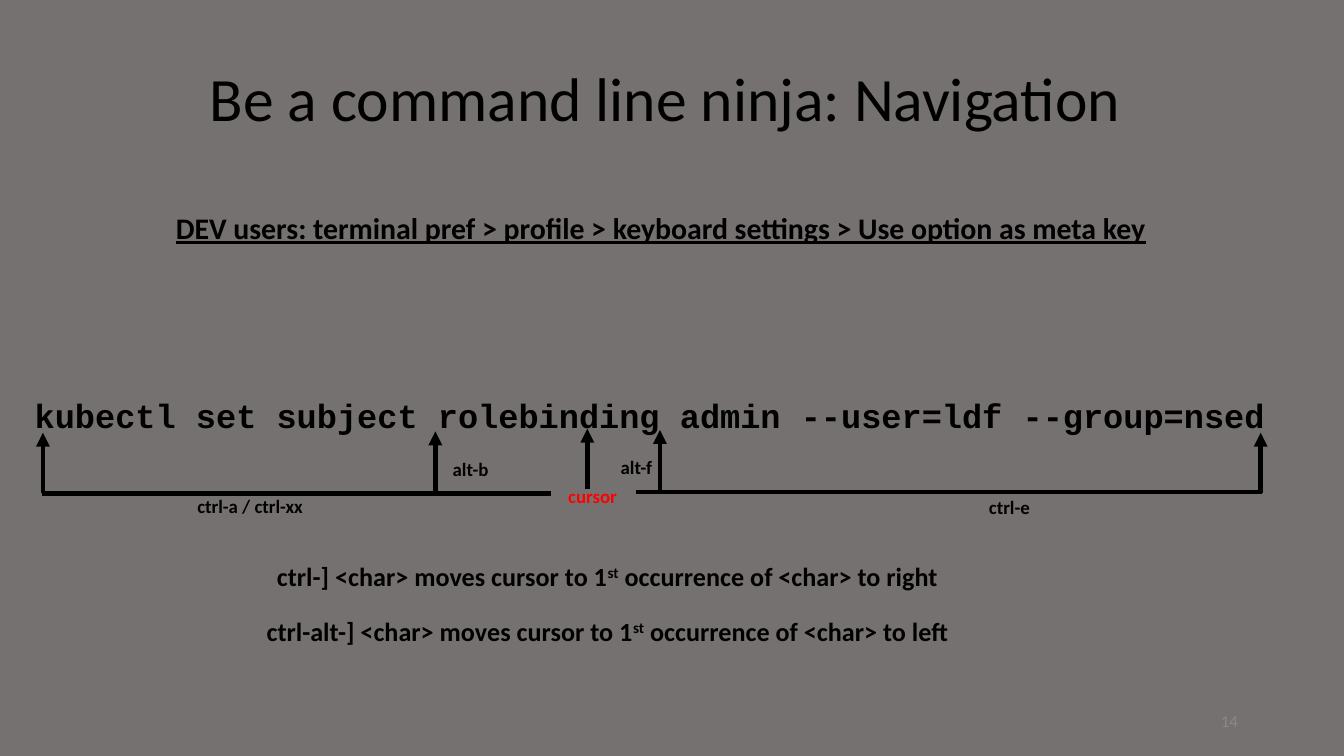
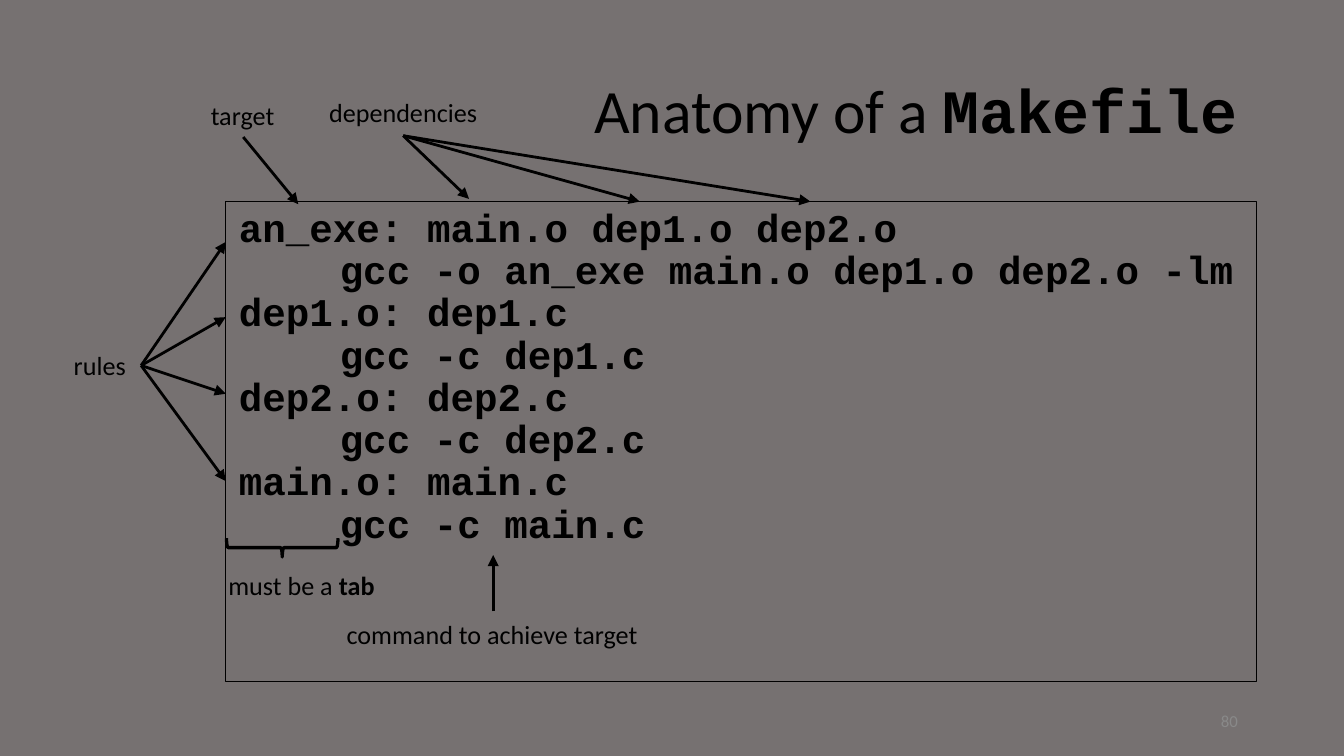
from lxml import etree
from pptx import Presentation
from pptx.dml.color import RGBColor
from pptx.enum.shapes import MSO_CONNECTOR, MSO_SHAPE
from pptx.enum.text import MSO_ANCHOR, MSO_AUTO_SIZE, PP_ALIGN
from pptx.oxml.ns import qn
from pptx.util import Inches, Pt

# Shared look
WIDTH = 10
HEIGHT = WIDTH * 9 / 16
GREY = RGBColor(0x76, 0x71, 0x71)
BLACK = RGBColor(0, 0, 0)
RED = RGBColor(0xFF, 0, 0)
PALE = RGBColor(0x89, 0x89, 0x89)
SANS, MONO = "Calibri", "Courier New"
LEFT, CENTER, RIGHT = PP_ALIGN.LEFT, PP_ALIGN.CENTER, PP_ALIGN.RIGHT
MIDDLE, TOP = MSO_ANCHOR.MIDDLE, MSO_ANCHOR.TOP
GROW, FIXED = MSO_AUTO_SIZE.SHAPE_TO_FIT_TEXT, MSO_AUTO_SIZE.NONE
STRAIGHT = MSO_CONNECTOR.STRAIGHT
RECTANGLE, BRACE = MSO_SHAPE.RECTANGLE, MSO_SHAPE.RIGHT_BRACE
LINE_SPACING = 0.9
TITLE_SIZE = (8.62, 1.09)
NUMBER_AREA = (7.06, 5.21, 2.25, 0.3)

# Span styles
HEADING = dict(size=33)
CODE_WORD = dict(size=33, font=MONO, bold=True)
COMMAND = dict(size=18, font=MONO, bold=True)
LISTING = dict(size=21, font=MONO, bold=True)
KEY = dict(size=10.1, bold=True)
CURSOR = dict(KEY, color=RED)
HINT = dict(size=16, bold=True, underline=True)
NOTE = dict(size=14)
STRONG = dict(NOTE, bold=True)
ORDINAL = dict(STRONG, raised=True)
PAGE_NUMBER = dict(size=9, color=PALE)

# Navigation slide: (area, text, style)
NAVIGATION_LABELS = [
    ((0.16, 2.89, 9.4, 0.4),
     "kubectl set subject rolebinding admin --user=ldf --group=nsed", COMMAND),
    ((4.13, 3.56, 0.57, 0.27), "cursor", CURSOR),
    ((7.26, 3.64, 0.51, 0.27), "ctrl-e", KEY),
    ((1.37, 3.63, 1, 0.27), "ctrl-a / ctrl-xx", KEY),
    ((4.52, 3.34, 0.45, 0.27), "alt-f", KEY),
    ((3.27, 3.36, 0.48, 0.27), "alt-b", KEY),
    ((1.21, 1.51, 7.59, 0.37),
     "DEV users: terminal pref > profile > keyboard settings > "
     "Use option as meta key", HINT),
]
JUMPS = [("ctrl-]", "right", 5.16), ("ctrl-alt-]", "left", 5.32)]
JUMP_CENTER, JUMP_TOP, JUMP_STEP = 4.52, 4.12, 0.41
KEY_ARROWS = [(0.32, 3.67), (3.24, 3.66), (4.37, 3.64), (4.91, 3.65), (9.38, 3.67)]
ARROW_HEIGHT = 0.45
KEY_RAILS = [(0.31, 4.1, 3.67), (4.73, 9.39, 3.66)]

# Makefile slide
CODE_AREA = (1.68, 1.5, 7.67, 3.57)
TAB_WIDTH = 0.75
CODE_LINES = [
    "an_exe: main.o dep1.o dep2.o", "\tgcc -o an_exe main.o dep1.o dep2.o -lm",
    "dep1.o: dep1.c", "\tgcc -c dep1.c",
    "dep2.o: dep2.c", "\tgcc -c dep2.c",
    "main.o: main.c", "\tgcc -c main.c",
]
MAKEFILE_LABELS = [
    ((0.45, 2.55, 0.59, 0.34), [("rules", NOTE)]),
    ((1.47, 0.69, 0.68, 0.34), [("target", NOTE)]),
    ((2.35, 0.67, 1.32, 0.34), [("dependencies", NOTE)]),
    ((2.48, 4.55, 2.39, 0.34), [("command to achieve target", NOTE)]),
    ((1.6, 4.19, 1.29, 0.34), [("must be a ", NOTE), ("tab", STRONG)]),
]
# Each fan: start point and the points its arrows reach
ARROW_FANS = [
    ((1.05, 2.72), [(CODE_AREA[0], y) for y in (1.8, 2.36, 2.93, 3.58)]),
    ((1.81, 1.02), [(2.22, 1.52)]),
    ((3, 1.01), [(6.03, 1.5), (4.76, 1.5), (3.49, 1.48)]),
    ((3.67, 4.55), [(3.67, 4.13)]),
]
BRACE_AREA = (2.03, 3.66, 0.14, 0.83)


def inches(values):
    """Turn plain numbers into lengths."""
    return [Inches(value) for value in values]


def add_span(para, text, size, font=SANS, color=BLACK, bold=False,
             underline=False, raised=False):
    """Add one formatted run to a paragraph."""
    span = para.add_run()
    span.text = text
    span.font.name, span.font.size = font, Pt(size)
    span.font.bold, span.font.underline = bold, underline
    span.font.color.rgb = color
    if raised:
        span._r.get_or_add_rPr().set("baseline", "30000")


def add_label(page, area, spans, align=LEFT, fit=GROW, anchor=TOP):
    """Add a one-line text box made of (text, style) spans."""
    frame = page.shapes.add_textbox(*inches(area)).text_frame
    frame.word_wrap = fit == FIXED
    frame.auto_size, frame.vertical_anchor = fit, anchor
    para = frame.paragraphs[0]
    para.alignment = align
    for text, style in spans:
        add_span(para, text, **style)


def add_line(page, start, end, weight, arrow=True):
    """Draw a straight black line, with an arrowhead at its end if wanted."""
    line = page.shapes.add_connector(STRAIGHT, *inches(start + end))
    line.line.color.rgb, line.line.width = BLACK, Pt(weight)
    if arrow:
        etree.SubElement(line.line._get_or_add_ln(), qn("a:tailEnd"), type="triangle")
    etree.SubElement(line._element.spPr, qn("a:effectLst"))


def add_outline(page, kind, area, weight):
    """Add an unfilled preset shape with a black outline."""
    shape = page.shapes.add_shape(kind, *inches(area))
    shape.shadow.inherit = False
    shape.fill.background()
    shape.line.color.rgb, shape.line.width = BLACK, Pt(weight)
    return shape


def add_page(deck, corner, spans, align, number):
    """Add a slide with its title and page number."""
    page = deck.slides.add_slide(deck.slide_layouts[5])
    title = page.shapes.title
    title.left, title.top, title.width, title.height = inches(corner + TITLE_SIZE)
    frame = title.text_frame
    frame.auto_size, frame.vertical_anchor = FIXED, MIDDLE
    para = frame.paragraphs[0]
    para.alignment, para.line_spacing = align, LINE_SPACING
    for text, style in spans:
        add_span(para, text, **style)
    add_label(page, NUMBER_AREA, [(number, PAGE_NUMBER)], RIGHT, FIXED, MIDDLE)
    return page


def build_navigation(deck):
    """Show the cursor keys under a sample command."""
    page = add_page(deck, (0.64, 0.21),
                    [("Be a command line ninja: Navigation", HEADING)], CENTER, "14")
    for area, text, style in NAVIGATION_LABELS:
        add_label(page, area, [(text, style)])
    for row, (keys, side, width) in enumerate(JUMPS):
        area = (JUMP_CENTER - width / 2, JUMP_TOP + row * JUMP_STEP, width, 0.34)
        add_label(page, area, [(f"{keys} <char> moves cursor to 1", STRONG),
                               ("st", ORDINAL),
                               (f" occurrence of <char> to {side}", STRONG)], CENTER)
    for x, bottom in KEY_ARROWS:
        add_line(page, (x, bottom), (x, bottom - ARROW_HEIGHT), 2.5)
    for left, right, y in KEY_RAILS:
        add_line(page, (left, y), (right, y), 2.5, arrow=False)


def build_makefile(deck):
    """Show a listing with its parts pointed out."""
    page = add_page(deck, (0.69, 0.3),
                    [("Anatomy of a ", HEADING), ("Makefile", CODE_WORD)], RIGHT, "80")
    frame = add_outline(page, RECTANGLE, CODE_AREA, 0.75).text_frame
    frame.word_wrap, frame.vertical_anchor = True, TOP
    para = frame.paragraphs[0]
    para.alignment, para.line_spacing = LEFT, LINE_SPACING
    stops = etree.SubElement(para._p.get_or_add_pPr(), qn("a:tabLst"))
    etree.SubElement(stops, qn("a:tab"), pos=str(Inches(TAB_WIDTH)), algn="l")
    for index, text in enumerate(CODE_LINES):
        if index:
            para.add_line_break()
        add_span(para, text, **LISTING)
    for area, spans in MAKEFILE_LABELS:
        add_label(page, area, spans)
    for start, ends in ARROW_FANS:
        for end in ends:
            add_line(page, start, end, 1.5)
    add_outline(page, BRACE, BRACE_AREA, 1.75).rotation = 90


deck = Presentation()
deck.slide_width, deck.slide_height = inches((WIDTH, HEIGHT))
backdrop = deck.slide_master.background.fill
backdrop.solid()
backdrop.fore_color.rgb = GREY
build_navigation(deck)
build_makefile(deck)
deck.save("out.pptx")
